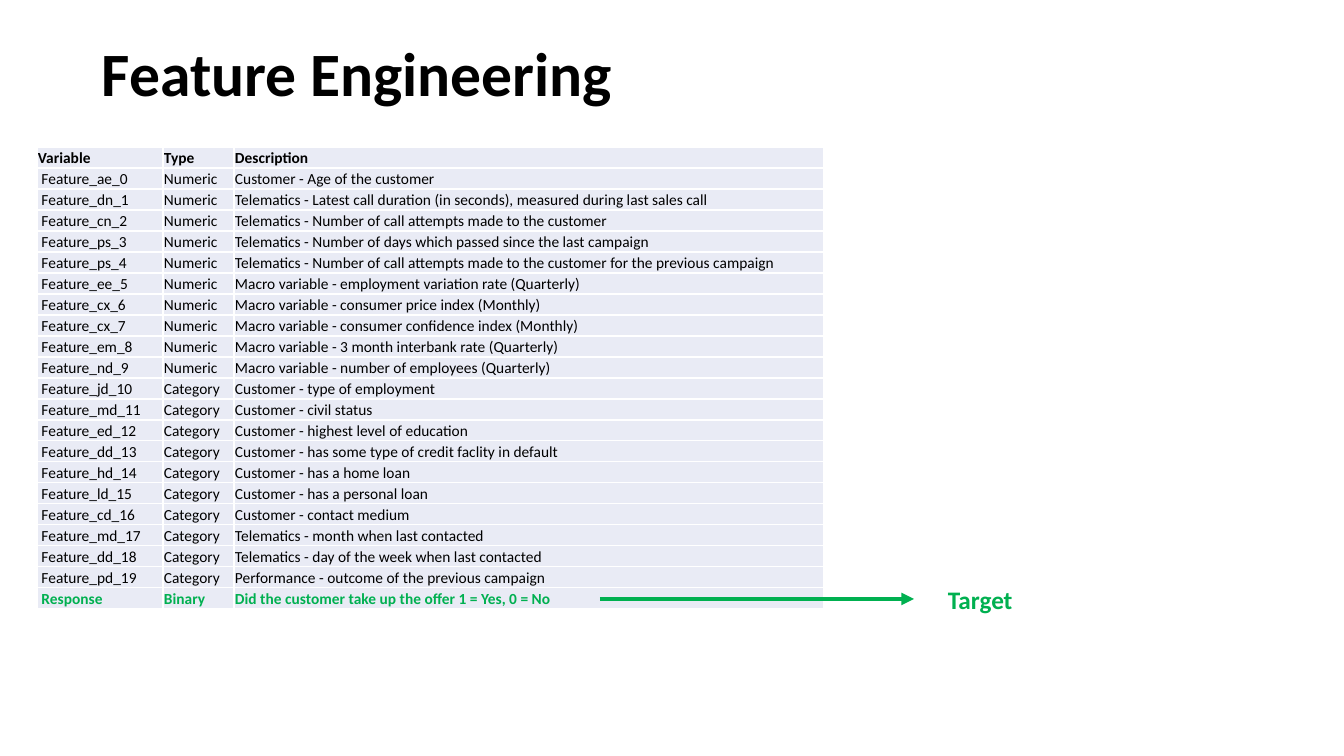
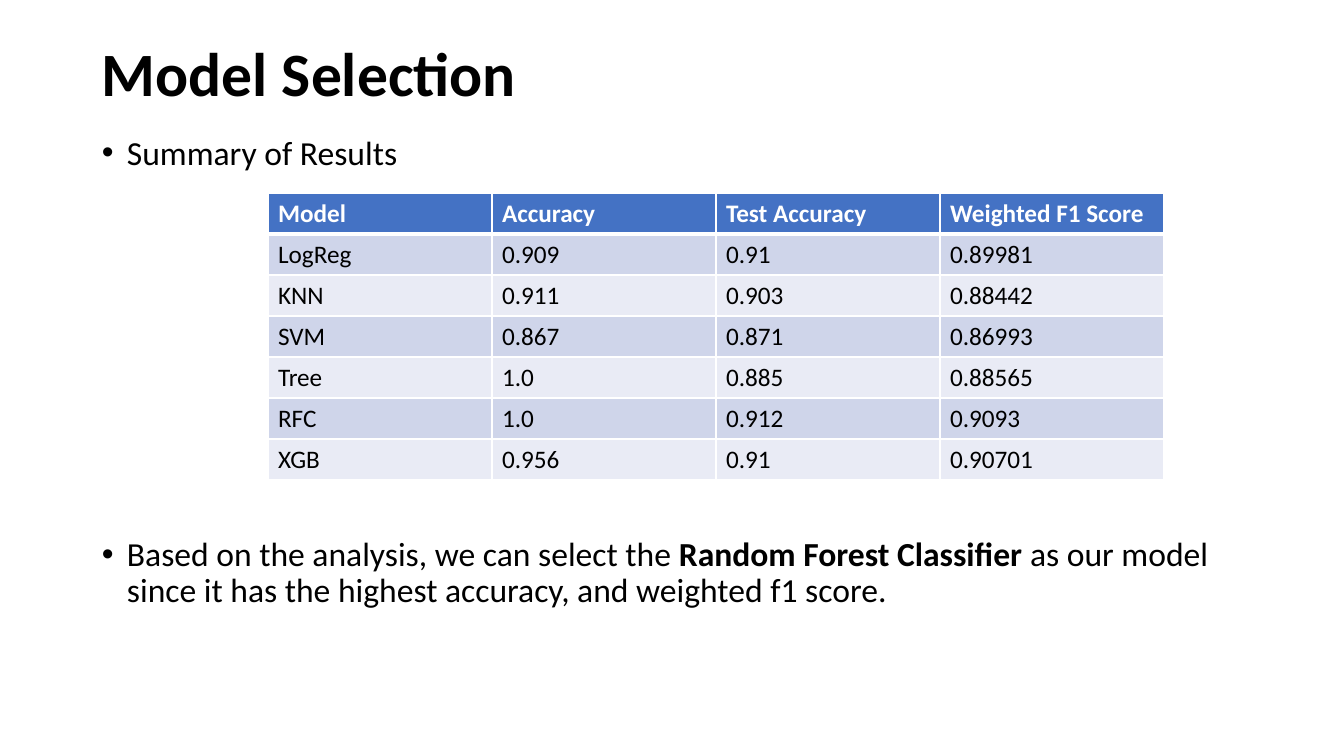
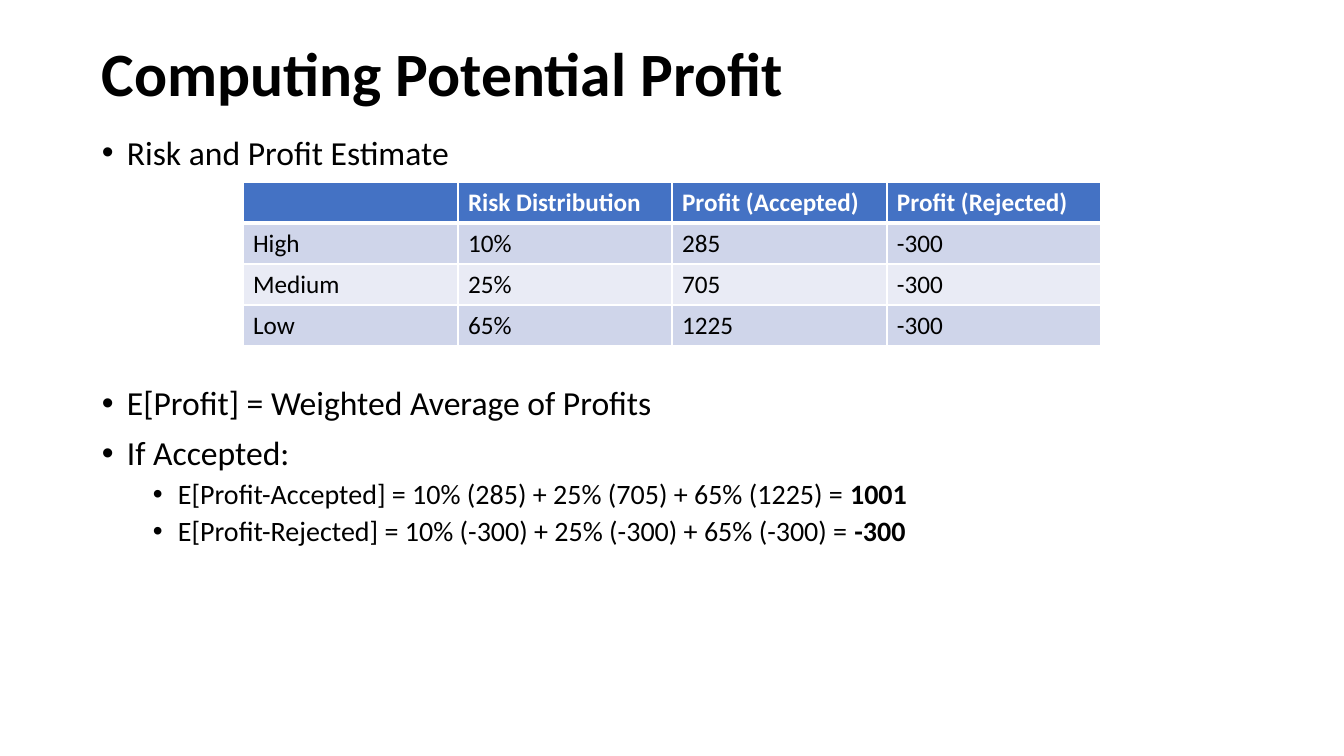
from lxml import etree
from pptx import Presentation
from pptx.dml.color import RGBColor
from pptx.enum.shapes import MSO_CONNECTOR
from pptx.enum.text import MSO_ANCHOR, MSO_AUTO_SIZE
from pptx.oxml.ns import qn
from pptx.util import Emu, Pt

FONT = "Calibri"
BLACK = RGBColor(0x00, 0x00, 0x00)
WHITE = RGBColor(0xFF, 0xFF, 0xFF)
GREEN = RGBColor(0x00, 0xB0, 0x50)
BLUE = RGBColor(0x44, 0x72, 0xC4)
BAND_DARK = RGBColor(0xCF, 0xD5, 0xEA)
BAND_LIGHT = RGBColor(0xE9, 0xEB, 0xF5)

# Boxes are left, top, width, height in px
EMU_PER_PX = 914400 / 100.8
SLIDE_SIZE = (1344, 756)
TITLE_BOX = (92, 32, 1159, 90)
BODY_BOX = (92, 131, 1159, 550)
ROW_HEIGHT = 41

FEATURES = [
    ("ae", "Customer - Age of the customer"),
    ("dn", "Telematics - Latest call duration (in seconds), measured during last sales call"),
    ("cn", "Telematics - Number of call attempts made to the customer"),
    ("ps", "Telematics - Number of days which passed since the last campaign"),
    ("ps", "Telematics - Number of call attempts made to the customer for the previous campaign"),
    ("ee", "Macro variable - employment variation rate (Quarterly)"),
    ("cx", "Macro variable - consumer price index (Monthly)"),
    ("cx", "Macro variable - consumer confidence index (Monthly)"),
    ("em", "Macro variable - 3 month interbank rate (Quarterly)"),
    ("nd", "Macro variable - number of employees (Quarterly)"),
    ("jd", "Customer - type of employment"),
    ("md", "Customer - civil status"),
    ("ed", "Customer - highest level of education"),
    ("dd", "Customer - has some type of credit faclity in default"),
    ("hd", "Customer - has a home loan"),
    ("ld", "Customer - has a personal loan"),
    ("cd", "Customer - contact medium"),
    ("md", "Telematics - month when last contacted"),
    ("dd", "Telematics - day of the week when last contacted"),
    ("pd", "Performance - outcome of the previous campaign"),
]
NUMERIC_COUNT = 10

MODELS = [
    ("Model", "Accuracy", "Test Accuracy", "Weighted F1 Score"),
    ("LogReg", "0.909", "0.91", "0.89981"),
    ("KNN", "0.911", "0.903", "0.88442"),
    ("SVM", "0.867", "0.871", "0.86993"),
    ("Tree", "1.0", "0.885", "0.88565"),
    ("RFC", "1.0", "0.912", "0.9093"),
    ("XGB", "0.956", "0.91", "0.90701"),
]

PROFITS = [
    ("", "Risk Distribution", "Profit (Accepted)", "Profit (Rejected)"),
    ("High", "10%", "285", "-300"),
    ("Medium", "25%", "705", "-300"),
    ("Low", "65%", "1225", "-300"),
]

# Bullets: level, space before in points, text with **bold** parts
MODEL_BULLETS = [
    (0, 10, "Summary of Results"),
    (0, 261, "Based on the analysis, we can select the **Random Forest Classifier **"
             "as our model since it has the highest accuracy, and weighted f1 score."),
]
PROFIT_BULLETS = [
    (0, 10, "Risk and Profit Estimate"),
    (0, 153, "E[Profit] = Weighted Average of Profits"),
    (0, 10, "If Accepted:"),
    (1, 5, "E[Profit-Accepted] = 10% (285) + 25% (705) + 65% (1225) = **1001**"),
    (1, 5, "E[Profit-Rejected] = 10% (-300) + 25% (-300) + 65% (-300) = **-300**"),
]


def px(length):
    return Emu(round(length * EMU_PER_PX))


def style(span, size, color=BLACK, bold=False):
    font = span.font
    font.name, font.size, font.bold = FONT, Pt(size), bold
    font.color.rgb = color


def add_text_frame(page, box):
    frame = page.shapes.add_textbox(*map(px, box)).text_frame
    frame.word_wrap = True
    return frame


def add_label(page, box, text, size, color=BLACK):
    frame = add_text_frame(page, box)
    frame.text = text
    style(frame.paragraphs[0].runs[0], size, color, bold=True)
    return frame


def add_page(deck, title):
    page = deck.slides.add_slide(deck.slide_layouts[6])
    frame = add_label(page, TITLE_BOX, title, 44)
    frame.vertical_anchor = MSO_ANCHOR.MIDDLE
    frame.paragraphs[0].line_spacing = 0.9
    return page


def add_bullets(page, box, bullets):
    frame = add_text_frame(page, box)
    for index, (level, space, text) in enumerate(bullets):
        para = frame.paragraphs[0] if index == 0 else frame.add_paragraph()
        para.level = level
        para.line_spacing = 0.9
        para.space_before = Pt(space)
        settings = para._p.get_or_add_pPr()
        settings.set("marL", str(px(25 + 51 * level)))
        settings.set("indent", str(px(-25)))
        etree.SubElement(settings, qn("a:buFont"), typeface="Arial")
        etree.SubElement(settings, qn("a:buChar"), char="•")
        for part, words in enumerate(text.split("**")):
            if words:
                span = para.add_run()
                span.text = words
                style(span, 20 if level else 24, bold=part % 2 == 1)


def set_border(cell, side, points):
    line = etree.Element(qn("a:ln" + side), w=str(Pt(points)))
    fill = etree.SubElement(line, qn("a:solidFill"))
    etree.SubElement(fill, qn("a:srgbClr"), val=str(WHITE))
    cell._tc.get_or_add_tcPr().insert(0, line)


def fill_cell(cell, text, size, color, bold, fill, bottom=1, top=None):
    cell.text = text
    for span in cell.text_frame.paragraphs[0].runs:
        style(span, size, color, bold)
    cell.fill.solid()
    cell.fill.fore_color.rgb = fill
    # Each border goes in first, so the schema order is reversed here
    for side, points in (("B", bottom), ("T", top), ("R", 1), ("L", 1)):
        if points:
            set_border(cell, side, points)


def add_grid(page, left, top, widths, row_height, row_count):
    table = page.shapes.add_table(row_count, len(widths), px(left), px(top),
                                  px(sum(widths)), px(row_height * row_count)).table
    for column, width in zip(table.columns, widths):
        column.width = px(width)
    for row in table.rows:
        row.height = px(row_height)
    return table


def add_feature_table(page, left, top):
    rows = [("Variable", "Type", "Description")]
    for index, (code, description) in enumerate(FEATURES):
        kind = "Numeric" if index < NUMERIC_COUNT else "Category"
        rows.append((f" Feature_{code}_{index}", kind, description))
    rows.append((" Response", "Binary", "Did the customer take up the offer 1 = Yes, 0 = No"))
    table = add_grid(page, left, top, (126, 71, 590), 21, len(rows))
    last = len(rows) - 1
    for r, values in enumerate(rows):
        for c, text in enumerate(values):
            cell = table.cell(r, c)
            fill_cell(cell, text, 11, GREEN if r == last else BLACK, r in (0, last),
                      BAND_LIGHT, top=None if r else 1)
            cell.margin_left = cell.margin_right = cell.margin_top = px(1)
            cell.margin_bottom = 0
            cell.vertical_anchor = MSO_ANCHOR.BOTTOM


def add_banded_table(page, left, top, widths, rows):
    table = add_grid(page, left, top, widths, ROW_HEIGHT, len(rows))
    for r, values in enumerate(rows):
        for c, text in enumerate(values):
            if r == 0:
                fill_cell(table.cell(r, c), text, 18, WHITE, True, BLUE, bottom=3, top=1)
            else:
                band = BAND_DARK if r % 2 else BAND_LIGHT
                fill_cell(table.cell(r, c), text, 18, BLACK, False, band)


def add_target_arrow(page, left, middle):
    # Arrow from the response row
    arrow = page.shapes.add_connector(MSO_CONNECTOR.STRAIGHT, px(left), px(middle),
                                      px(left + 314), px(middle))
    arrow.line.color.rgb = GREEN
    arrow.line.width = Pt(3)
    etree.SubElement(arrow.line._get_or_add_ln(), qn("a:tailEnd"), type="triangle")
    etree.SubElement(arrow._element.spPr, qn("a:effectLst"))
    # Label at the tip
    frame = add_label(page, (left + 338, middle - 20, 86, 40), "Target", 18, GREEN)
    frame.word_wrap = False
    frame.auto_size = MSO_AUTO_SIZE.SHAPE_TO_FIT_TEXT


def build_features(deck):
    page = add_page(deck, "Feature Engineering")
    add_feature_table(page, 37, 147)
    add_target_arrow(page, 600, 599)


def build_results(deck, title, bullets, left, top, widths, rows):
    page = add_page(deck, title)
    add_bullets(page, BODY_BOX, bullets)
    add_banded_table(page, left, top, widths, rows)


def main():
    deck = Presentation()
    deck.slide_width, deck.slide_height = map(px, SLIDE_SIZE)
    build_features(deck)
    build_results(deck, "Model Selection", MODEL_BULLETS, 268, 193, (224,) * 4, MODELS)
    build_results(deck, "Computing Potential Profit", PROFIT_BULLETS,
                  243, 182, (215, 214) * 2, PROFITS)
    deck.save("out.pptx")


if __name__ == "__main__":
    main()
